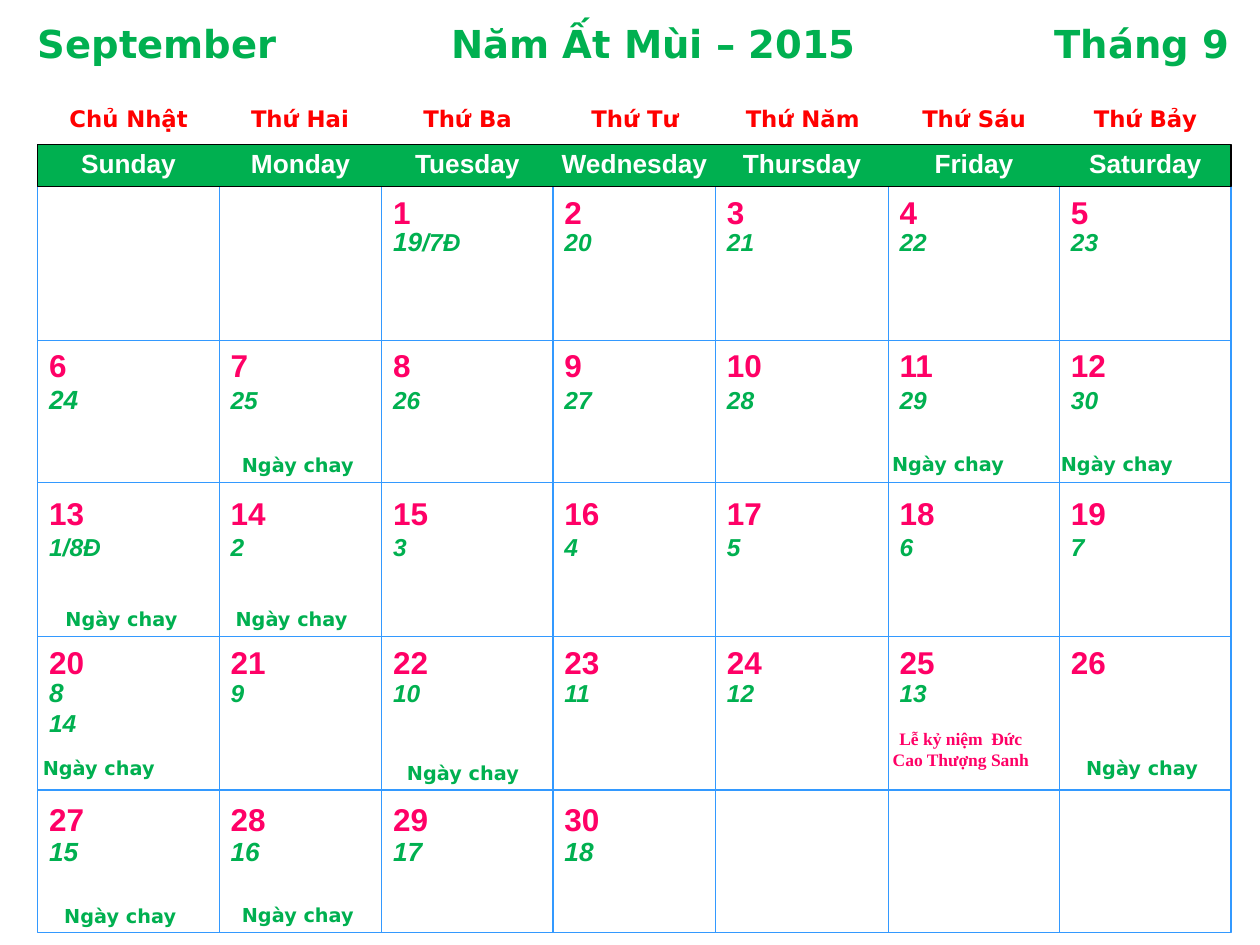
"""Build a one-page calendar of September 2015 with solar and lunar dates."""
from lxml import etree
from pptx import Presentation
from pptx.dml.color import RGBColor
from pptx.enum.shapes import MSO_CONNECTOR, MSO_SHAPE
from pptx.enum.text import MSO_ANCHOR, MSO_AUTO_SIZE, PP_ALIGN
from pptx.oxml.ns import qn
from pptx.util import Inches, Pt

STRAIGHT = MSO_CONNECTOR.STRAIGHT
RECTANGLE = MSO_SHAPE.RECTANGLE
TOP = MSO_ANCHOR.TOP
NO_FIT = MSO_AUTO_SIZE.NONE
LEFT, CENTER = PP_ALIGN.LEFT, PP_ALIGN.CENTER

COLORS = {"green": "00B050", "red": "FF0000", "pink": "FF0066",
          "blue": "3399FF", "white": "FFFFFF", "black": "000000"}
SANS, WIDE, SERIF = "Arial", "DejaVu Sans", "Times New Roman"

COLUMNS = [0.3, 1.74, 3.03, 4.39, 5.68, 7.05, 8.41, 9.77]
ROWS = [1.48, 2.7, 3.83, 5.05, 6.27, 7.4]
HEADER_TOP = 1.15
INSET = 0.09
ROW_LEFT, ROW_WIDTH = 0.2, 9.6
DATE_STOPS = [edge + INSET for edge in COLUMNS[:-1]]
CENTER_STOPS = [(start + end) / 2 for start, end in zip(COLUMNS, COLUMNS[1:])]
TITLE_STOPS = [0.3, 3.58, 8.37]

TITLE = ["September", "Năm Ất Mùi – 2015", "Tháng 9"]
WEEKDAYS = ["Sunday", "Monday", "Tuesday", "Wednesday", "Thursday", "Friday", "Saturday"]
WEEKDAYS_VIET = ["Chủ Nhật", "Thứ Hai", "Thứ Ba", "Thứ Tư", "Thứ Năm", "Thứ Sáu", "Thứ Bảy"]

DATE_TOPS = [1.48, 2.7, 3.87, 5.05, 6.3]
LUNAR_TOPS = [1.74, 2.99, 4.17, 5.32, 6.58]
FIRST_COLUMN, LAST_DAY = 2, 30
LUNAR_WEEKS = [
    ("\t\t\t19", "/7Đ\t20\t21\t22\t23", 14),
    ("\t24", "\t25\t26\t27\t28\t29\t30", 14),
    ("", "\t1/8Đ\t2\t3\t4\t5\t6\t7", 14),
    ("\t8", "\t9\t10\t11\t12\t13\v\t14", 14),
    ("", "\t15\t16\t17\t18", 15),
]
FASTING_SPOTS = [(1.83, 3.55), (6.99, 3.54), (8.33, 3.54), (0.43, 4.77), (1.78, 4.77),
                 (0.25, 5.95), (3.14, 5.99), (8.53, 5.95), (0.42, 7.13), (1.83, 7.12)]


def color(name):
    """Return a named colour."""
    return RGBColor.from_string(COLORS[name])


def style(para, font, size, tint, italic=False, align=LEFT):
    """Set the font and alignment of a paragraph."""
    para.alignment = align
    para.font.name = font
    para.font.size = Pt(size)
    para.font.bold = True
    para.font.italic = italic
    para.font.color.rgb = color(tint)


def add_stops(para, stops, left, kind="l"):
    """Add tab stops at page positions to a paragraph in a box at left."""
    tabs = etree.SubElement(para._p.get_or_add_pPr(), qn("a:tabLst"))
    for stop in stops:
        position = Inches(round(stop - left - INSET, 2))
        etree.SubElement(tabs, qn("a:tab"), pos=str(position), algn=kind)


def prepare(frame, wrap=True):
    """Set the insets, wrapping and anchor of a text frame."""
    frame.word_wrap = wrap
    frame.auto_size = NO_FIT
    frame.vertical_anchor = TOP
    frame.margin_left = Inches(INSET)
    frame.margin_right = 0
    frame.margin_top = frame.margin_bottom = Inches(0.05)


def add_text(page, left, top, width, height, wrap=True):
    """Add an empty text box and return its frame."""
    box = page.shapes.add_textbox(*map(Inches, (left, top, width, height)))
    prepare(box.text_frame, wrap)
    return box.text_frame


def add_line(page, x1, y1, x2, y2):
    """Add a thin grid line."""
    line = page.shapes.add_connector(STRAIGHT, *map(Inches, (x1, y1, x2, y2)))
    line.line.color.rgb = color("blue")
    line.line.width = Pt(0.75)
    etree.SubElement(line._element.spPr, qn("a:effectLst"))


def add_frame(page, top, bottom, outline, fill=None):
    """Add a rectangle over all columns."""
    box = page.shapes.add_shape(RECTANGLE, Inches(COLUMNS[0]), Inches(top),
                                Inches(COLUMNS[-1] - COLUMNS[0]), Inches(bottom - top))
    box.shadow.inherit = False
    box.line.color.rgb = color(outline)
    box.line.width = Pt(0.75)
    if fill:
        box.fill.solid()
        box.fill.fore_color.rgb = color(fill)
    else:
        box.fill.background()


def add_grid(page):
    """Draw the month grid and its header bar."""
    for row in ROWS[:-1]:
        add_line(page, COLUMNS[0], row, COLUMNS[-1], row)
    for column in COLUMNS[1:-1]:
        add_line(page, column, ROWS[0], column, ROWS[-1])
    add_frame(page, ROWS[0], ROWS[-1], "blue")
    add_frame(page, HEADER_TOP, ROWS[0], "black", "green")


def set_title(page):
    """Place the title with its three parts on tab stops."""
    title = page.shapes.title
    left = 0.11
    title.left, title.top, title.width, title.height = map(Inches, (left, 0.11, 9.85, 0.46))
    prepare(title.text_frame)
    para = title.text_frame.paragraphs[0]
    para.text = "\t" + "\t".join(TITLE)
    add_stops(para, TITLE_STOPS, left)
    style(para, WIDE, 22, "green")


def add_weekdays(page):
    """Add the Vietnamese and English names of the days."""
    para = add_text(page, ROW_LEFT, 0.78, ROW_WIDTH, 0.31).paragraphs[0]
    para.text = "\t" + "\t".join(WEEKDAYS_VIET)
    add_stops(para, CENTER_STOPS, ROW_LEFT, "ctr")
    style(para, WIDE, 13, "red")
    for name, start, end in zip(WEEKDAYS, COLUMNS, COLUMNS[1:]):
        frame = add_text(page, start, 1.12, end - start, 0.35, wrap=False)
        frame.margin_right = Inches(INSET)
        frame.text = name
        style(frame.paragraphs[0], SANS, 15, "white", align=CENTER)


def add_dates(page):
    """Add the solar dates, one row for each week."""
    for week, top in enumerate(DATE_TOPS):
        start = week * 7 - FIRST_COLUMN + 1
        days = [day if day > 0 else "" for day in range(start, min(start + 7, LAST_DAY + 1))]
        para = add_text(page, ROW_LEFT, top, ROW_WIDTH, 0.41).paragraphs[0]
        para.text = "".join(f"\t{day}" for day in days)
        add_stops(para, DATE_STOPS, ROW_LEFT)
        style(para, SANS, 18, "pink")


def add_lunar_dates(page):
    """Add the lunar dates, whose lead may be a little larger."""
    for (lead, rest, size), top in zip(LUNAR_WEEKS, LUNAR_TOPS):
        para = add_text(page, ROW_LEFT, top, ROW_WIDTH, 0.35).paragraphs[0]
        para.text = rest
        if lead:
            span = para.add_run()
            span.text = lead
            span.font.size = Pt(15)
            para.runs[0]._r.addprevious(span._r)
        add_stops(para, DATE_STOPS, ROW_LEFT)
        style(para, SANS, size, "green", italic=True)


def add_events(page):
    """Mark the fasting days and the memorial day."""
    for left, top in FASTING_SPOTS:
        frame = add_text(page, left, top, 1.14, 0.28)
        frame.text = "Ngày chay"
        style(frame.paragraphs[0], WIDE, 11, "green")
    frame = add_text(page, 6.75, 5.73, 1.75, 0.43)
    frame.margin_right = Inches(INSET)
    frame.text = "Lễ kỷ niệm  Đức\nCao Thượng Sanh"
    for para in frame.paragraphs:
        style(para, SERIF, 10, "pink", align=CENTER)


def main():
    """Build and save the calendar."""
    deck = Presentation()
    deck.slide_width, deck.slide_height = Inches(10), Inches(7.5)
    page = deck.slides.add_slide(deck.slide_layouts[5])
    add_grid(page)
    set_title(page)
    add_weekdays(page)
    add_dates(page)
    add_lunar_dates(page)
    add_events(page)
    deck.save("out.pptx")


if __name__ == "__main__":
    main()
